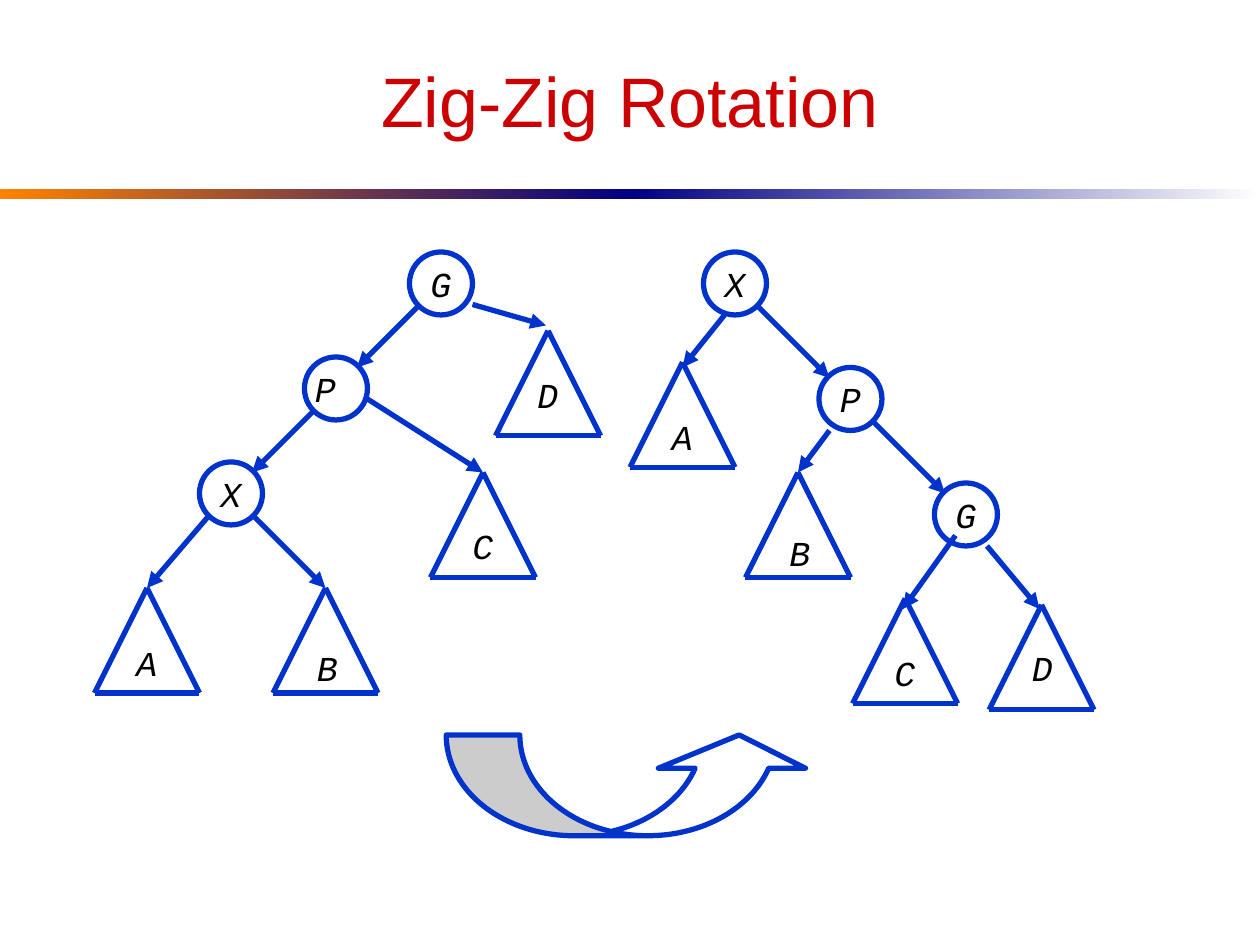
from dataclasses import dataclass
from typing import Any

from lxml.etree import SubElement
from pptx import Presentation
from pptx.dml.color import RGBColor
from pptx.enum.shapes import MSO_CONNECTOR as Connector, MSO_SHAPE as Preset
from pptx.enum.text import MSO_ANCHOR as Anchor, MSO_AUTO_SIZE as AutoSize, PP_ALIGN as Align
from pptx.oxml.ns import qn
from pptx.util import Inches, Pt

COLORS = {"title": "CC0000", "line": "0033CC", "text": "000000",
          "paper": "FFFFFF", "orange": "FF8200", "navy": "000082"}

CIRCLES = [("P ", 29, 34), ("X", 19, 44), ("G", 39, 24),
           ("X", 67, 24), ("P", 78, 35), ("G", 89, 46)]

SUBTREES = [("C", (46, 45), (43.8, 49.4)), ("D", (52.2, 31.5), (50, 35)),
            ("B", (31, 56), (29, 61)), ("A", (14, 56), (11.8, 60.5)),
            ("A", (65, 34.5), (62.8, 39)), ("B", (76, 45), (74, 50)),
            ("C", (86.2, 57), (84, 61.5)), ("D", (99.2, 57.6), (97.1, 61))]

LINKS = [((30, 39), (24, 45)), ((35, 38), (46, 45)), ((20, 49), (14, 56)),
         ((24, 49), (31, 56)), ((45, 29), (52, 31)), ((40, 29), (34, 35)),
         ((72, 29), (79, 36)), ((83, 40), (90, 47)), ((69, 30), (65, 35)),
         ((79, 41), (76, 45)), ((91, 51), (86, 58)), ((94, 52), (99, 58))]


def color(name):
    """Return the named colour."""
    return RGBColor.from_string(COLORS[name])


@dataclass
class TreeSlide:
    """Draws trees on a slide with a grid of 120 columns by 90 rows."""
    slide: Any
    cell: float = 1 / 12
    line_width: float = 3
    node_font: str = "Courier New"
    title_font: str = "Arial"

    def grid(self, *cells):
        """Convert grid cells to lengths."""
        return [Inches(count * self.cell) for count in cells]

    def set_text(self, shape, text, font, size, ink, align, italic=False, wrap=False):
        """Set and format the text of a shape."""
        frame = shape.text_frame
        frame.text = text
        frame.word_wrap = wrap
        paragraph = frame.paragraphs[0]
        paragraph.alignment = align
        style = paragraph.runs[0].font
        style.name, style.size, style.italic = font, Pt(size), italic
        style.color.rgb = color(ink)
        return frame

    def title(self, text, *box):
        """Add the centred title."""
        shape = self.slide.shapes.add_textbox(*self.grid(*box))
        frame = self.set_text(shape, text, self.title_font, 40, "title", Align.CENTER, wrap=True)
        frame.vertical_anchor = Anchor.MIDDLE

    def band(self, start, end, *box):
        """Add a bar that fades from one colour to another."""
        shape = self.slide.shapes.add_shape(Preset.RECTANGLE, *self.grid(*box))
        shape.shadow.inherit = False
        shape.line.fill.background()
        shape.fill.gradient()
        shape.fill.gradient_angle = 0
        for stop, name, position in zip(shape.fill.gradient_stops, (start, end), (0, 1)):
            stop.color.rgb = color(name)
            stop.position = position

    def outlined(self, preset, *box):
        """Add a white shape with a blue outline."""
        shape = self.slide.shapes.add_shape(preset, *self.grid(*box))
        shape.shadow.inherit = False
        shape.fill.solid()
        shape.fill.fore_color.rgb = color("paper")
        shape.line.color.rgb = color("line")
        shape.line.width = Pt(self.line_width)
        return shape

    def circle(self, text, left, top):
        """Add a tree node."""
        shape = self.outlined(Preset.OVAL, left, top, 6, 6)
        frame = self.set_text(shape, text, self.node_font, 20, "text", Align.CENTER, True)
        frame.vertical_anchor = Anchor.MIDDLE

    def line(self, start, end, arrow=False):
        """Add a straight line, with an arrowhead if wanted."""
        connector = self.slide.shapes.add_connector(
            Connector.STRAIGHT, *self.grid(*start, *end))
        connector.line.color.rgb = color("line")
        connector.line.width = Pt(self.line_width)
        properties = connector._element.spPr
        if arrow:
            SubElement(properties.find(qn("a:ln")), qn("a:tailEnd"), type="triangle")
        SubElement(properties, qn("a:effectLst"))

    def subtree(self, text, apex, label):
        """Add a labelled triangle of three lines."""
        x, y = apex
        corners = [apex, (x - 5, y + 10), (x + 5, y + 10)]
        for start, end in zip(corners, corners[1:] + corners[:1]):
            self.line(start, end)
        shape = self.slide.shapes.add_textbox(*self.grid(*label, 4.35, 5.25))
        frame = self.set_text(shape, text, self.node_font, 20, "text", Align.LEFT, True)
        frame.auto_size = AutoSize.SHAPE_TO_FIT_TEXT

    def turn(self, *box):
        """Add the curved arrow between the trees."""
        shape = self.outlined(Preset.CURVED_UP_ARROW, *box)
        for index, value in enumerate((0.73, 1.46, 0.33)):
            shape.adjustments[index] = value


def main():
    """Build and save the slide."""
    presentation = Presentation()
    presentation.slide_width, presentation.slide_height = Inches(10), Inches(7.5)
    page = TreeSlide(presentation.slides.add_slide(presentation.slide_layouts[6]))
    page.band("orange", "navy", 0, 18, 60, 1)
    page.band("navy", "paper", 60, 18, 60, 1)
    page.title("Zig-Zig Rotation", 6, 3, 108, 13)
    for circle in CIRCLES:
        page.circle(*circle)
    for subtree in SUBTREES:
        page.subtree(*subtree)
    for start, end in LINKS:
        page.line(start, end, arrow=True)
    page.turn(42.5, 70, 34.9, 9.6)
    presentation.save("out.pptx")


if __name__ == "__main__":
    main()
